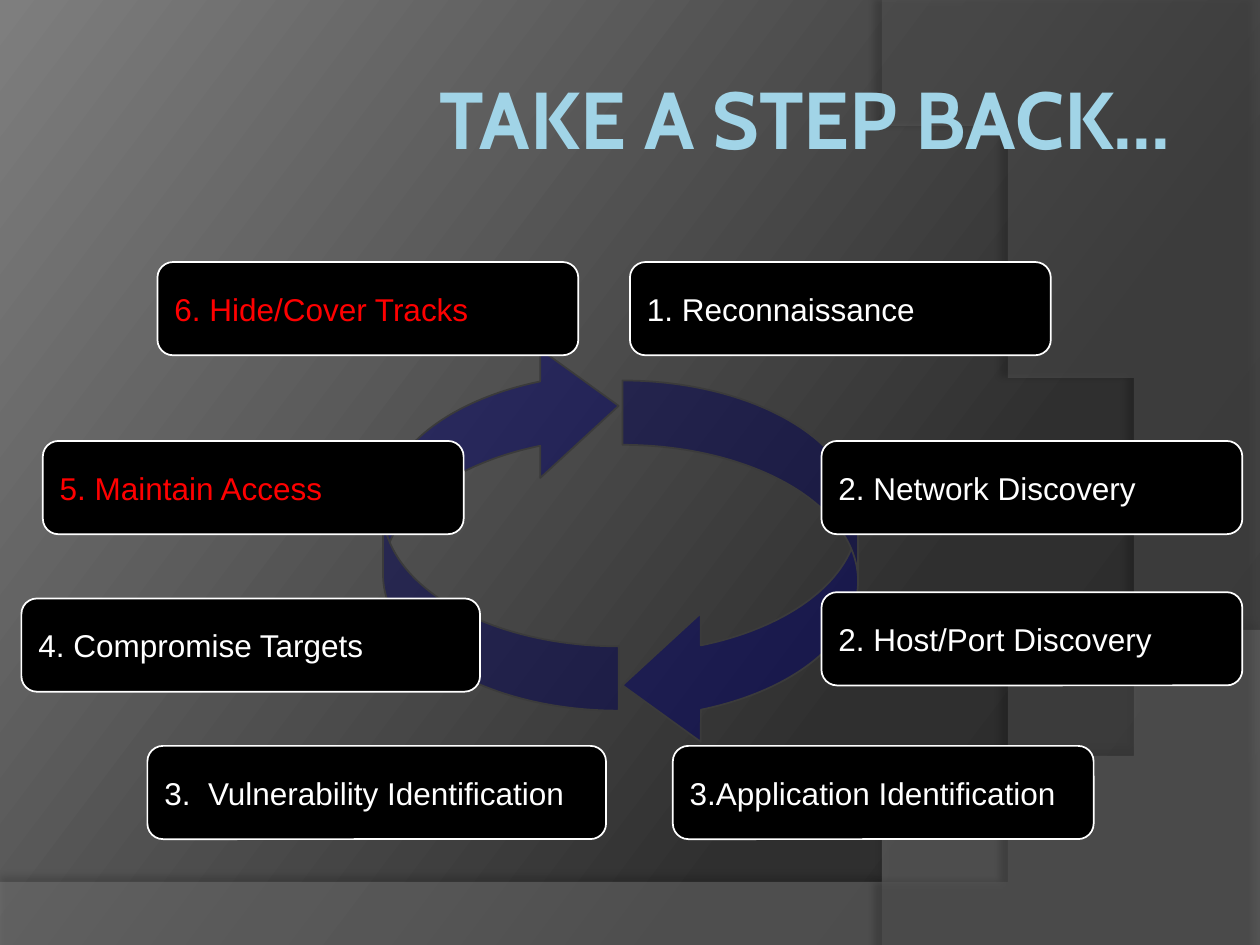
from copy import deepcopy

from lxml import etree
from pptx import Presentation
from pptx.dml.color import RGBColor
from pptx.enum.shapes import MSO_SHAPE
from pptx.enum.text import MSO_ANCHOR, PP_ALIGN
from pptx.oxml.ns import qn
from pptx.util import Inches, Pt

ROUNDED = MSO_SHAPE.ROUNDED_RECTANGLE
CURVED_ARROW = MSO_SHAPE.CURVED_LEFT_ARROW
MIDDLE, TOP = MSO_ANCHOR.MIDDLE, MSO_ANCHOR.TOP
LEFT, RIGHT = PP_ALIGN.LEFT, PP_ALIGN.RIGHT

WHITE, RED, BLACK = "FFFFFF", "FF0000", "000000"
BACKDROP = [(0, "282828"), (0.3, "2F2F2F"), (1, "7E7E7E")]
STEP_HEIGHT = 0.74
NARROW, WIDE = 3.34, 3.64
STEPS = [
    ("1. Reconnaissance", 5, 2.08, NARROW, WHITE),
    ("2. Network Discovery", 6.52, 3.5, NARROW, WHITE),
    ("2. Host/Port Discovery", 6.52, 4.7, NARROW, WHITE),
    ("3.  Vulnerability Identification", 1.17, 5.92, WIDE, WHITE),
    ("4. Compromise Targets", 0.17, 4.75, WIDE, WHITE),
    ("3.Application Identification", 5.34, 5.92, NARROW, WHITE),
    ("6. Hide/Cover Tracks", 1.25, 2.08, NARROW, RED),
    ("5. Maintain Access", 0.34, 3.5, NARROW, RED),
]


def rgb(hex_color):
    """Return the colour for a hex string."""
    return RGBColor.from_string(hex_color)


def add_alpha(color_element, percent):
    """Give a colour element an opacity in percent."""
    etree.SubElement(color_element, qn("a:alpha"), val=str(percent * 1000))


def fill_shape(shape, hex_color, opacity=100):
    """Fill a shape with one colour and drop its theme shadow."""
    shape.shadow.inherit = False
    shape.fill.solid()
    shape.fill.fore_color.rgb = rgb(hex_color)
    if opacity < 100:
        add_alpha(shape.element.spPr.find(qn("a:solidFill"))[0], opacity)


def outline_shape(shape, hex_color):
    """Draw a one point outline."""
    shape.line.color.rgb = rgb(hex_color)
    shape.line.width = Pt(1)


def add_soft_shadow(shape, opacity, distance, angle):
    """Add a blurred black outer shadow."""
    effects = shape.element.spPr.find(qn("a:effectLst"))
    shadow = etree.SubElement(
        effects, qn("a:outerShdw"), blurRad=str(Pt(4)), dist=str(Pt(distance)),
        dir=str(angle * 60000), algn="ctr", rotWithShape="0")
    add_alpha(etree.SubElement(shadow, qn("a:srgbClr"), val=BLACK), opacity)


def curve_points(start, control_1, control_2, end, steps=48):
    """Return points along a cubic curve, without its start."""
    points = []
    for step in range(1, steps + 1):
        t = step / steps
        weights = ((1 - t) ** 3, 3 * t * (1 - t) ** 2, 3 * t * t * (1 - t), t ** 3)
        anchors = (start, control_1, control_2, end)
        points.append(tuple(sum(w * p[axis] for w, p in zip(weights, anchors))
                            for axis in (0, 1)))
    return points


def add_swoosh(slide, corners, curve, hex_color, opacity, shadow):
    """Add a translucent sheet with straight corners and one curved edge."""
    start, *outline = corners + [curve[0]] + curve_points(*curve)
    builder = slide.shapes.build_freeform(*start, scale=Inches(1))
    builder.add_line_segments(outline, close=True)
    swoosh = builder.convert_to_shape()
    fill_shape(swoosh, hex_color, opacity)
    swoosh.line.fill.background()
    add_soft_shadow(swoosh, *shadow)


def set_backdrop(slide):
    """Paint the slide background with a diagonal gradient."""
    fill = slide.background.fill
    fill.gradient()
    fill.gradient_angle = 143
    stop_list = slide.element.find(".//" + qn("a:gsLst"))
    stop_list.append(deepcopy(stop_list[-1]))
    for stop, (position, hex_color) in zip(fill.gradient_stops, BACKDROP):
        stop.position = position
        stop.color.rgb = rgb(hex_color)


def set_title(slide, wording):
    """Place the title in front of the backdrop sheets."""
    title = slide.shapes.title
    title.element.getparent().append(title.element)
    title.left, title.top = Inches(0.39), Inches(0.5)
    title.width, title.height = Inches(8.95), Inches(1.33)
    frame = title.text_frame
    frame.text = wording
    frame.vertical_anchor = TOP
    frame.margin_left = frame.margin_right = Inches(0.05)
    frame.margin_top = frame.margin_bottom = Inches(0.05)
    frame.paragraphs[0].alignment = RIGHT
    font = frame.paragraphs[0].runs[0].font
    font.name, font.size, font.bold = "Cabin", Pt(46), True
    font.color.rgb = rgb("A1D4E7")


def add_cycle_arrow(cycle, left, top, rotation):
    """Add one half of the cycle to its group."""
    arrow = cycle.shapes.add_shape(
        CURVED_ARROW, Inches(left), Inches(top), Inches(1.87), Inches(2.93))
    for index, value in enumerate((0.273, 0.546, 0.333)):
        arrow.adjustments[index] = value
    arrow.rotation = rotation
    fill_shape(arrow, "000066", 50)
    outline_shape(arrow, "3B3B3B")


def add_step(slide, wording, left, top, width, text_color):
    """Add one labelled step of the cycle."""
    step = slide.shapes.add_shape(
        ROUNDED, Inches(left), Inches(top), Inches(width), Inches(STEP_HEIGHT))
    fill_shape(step, BLACK)
    outline_shape(step, WHITE)
    frame = step.text_frame
    frame.text = wording
    frame.word_wrap = False
    frame.vertical_anchor = MIDDLE
    frame.paragraphs[0].alignment = LEFT
    font = frame.paragraphs[0].runs[0].font
    font.name, font.size = "Arial", Pt(18)
    font.color.rgb = rgb(text_color)


def main():
    """Build the slide and save it."""
    deck = Presentation()
    deck.slide_width, deck.slide_height = Inches(10), Inches(7.5)
    slide = deck.slides.add_slide(deck.slide_layouts[5])
    set_backdrop(slide)
    add_swoosh(slide, [(0, 7.05), (0, 7.5), (10, 7.5)],
               [(10, 5.2), (5.59, 7.29), (3.91, 7.19), (0, 7.05)],
               "7F7F7F", 45, (35, 3.5, 270))
    add_swoosh(slide, [(10, 0.02), (10, 7.5)],
               [(7.03, 7.5), (8.91, 6.19), (9.47, 2.75), (6.68, 0)],
               "5E5E5E", 40, (45, 4, 180))
    set_title(slide, "TAKE A STEP BACK…")
    cycle = slide.shapes.add_group_shape()
    add_cycle_arrow(cycle, 3.04, 2.71, 180)
    add_cycle_arrow(cycle, 4.94, 3.02, 0)
    for step in STEPS:
        add_step(slide, *step)
    deck.save("out.pptx")


if __name__ == "__main__":
    main()
